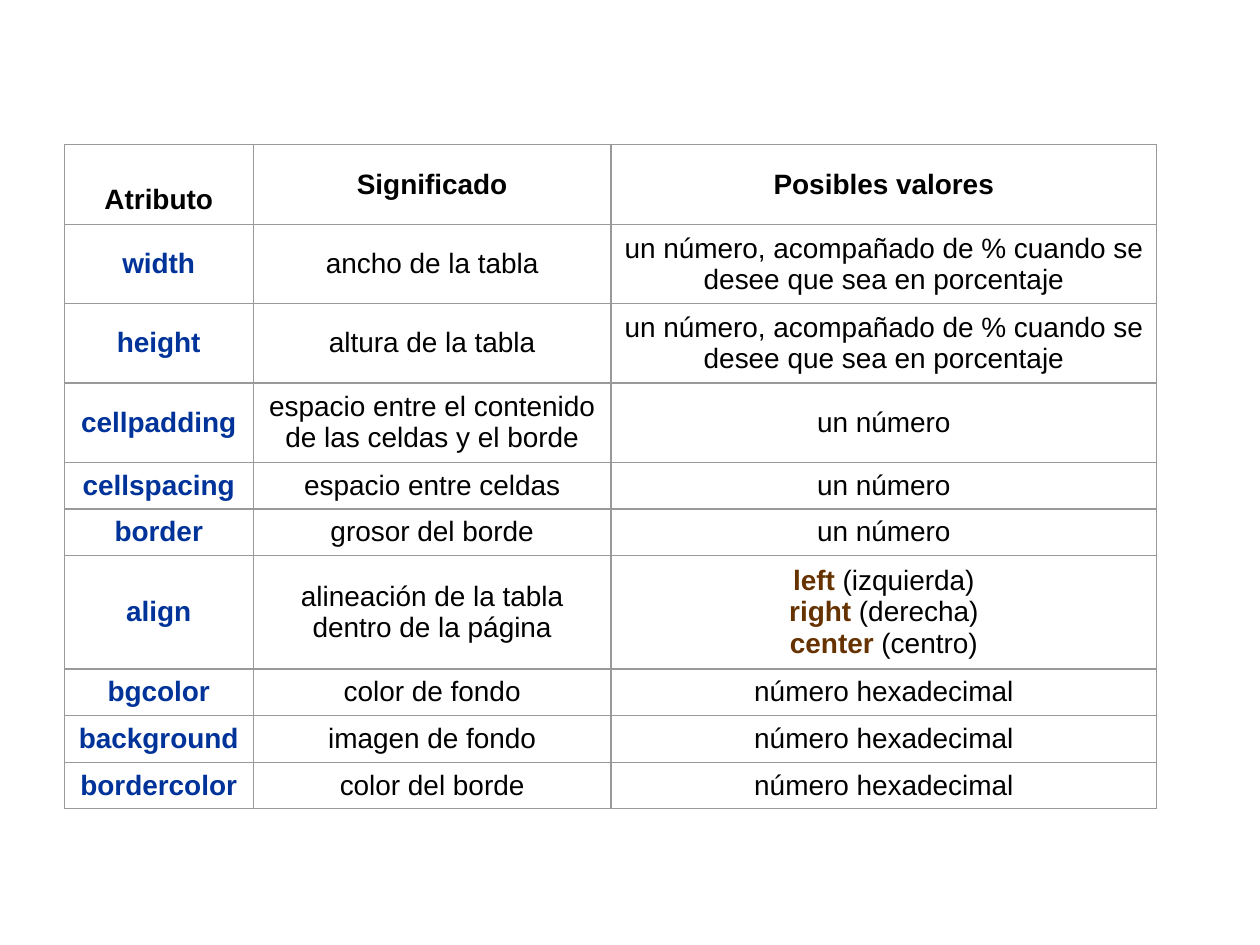
from lxml.etree import SubElement
from pptx import Presentation
from pptx.dml.color import RGBColor
from pptx.enum.text import MSO_ANCHOR as Anchor, PP_ALIGN as Align
from pptx.oxml.ns import qn
from pptx.util import Inches, Pt

BLACK = RGBColor(0x00, 0x00, 0x00)
BLUE = RGBColor(0x00, 0x33, 0x99)
BROWN = RGBColor(0x66, 0x33, 0x00)
GRAY = RGBColor(0x99, 0x99, 0x99)

HEADERS = ["Atributo", "Significado", "Posibles valores"]
SIZE_VALUE = "un número, acompañado de % cuando se desee que sea en porcentaje"
NUMBER = "un número"
HEX = "número hexadecimal"
ALIGN_VALUES = [("left", "izquierda"), ("right", "derecha"), ("center", "centro")]
ATTRIBUTES = [
    ("width", "ancho de la tabla", SIZE_VALUE),
    ("height", "altura de la tabla", SIZE_VALUE),
    ("cellpadding", "espacio entre el contenido de las celdas y el borde", NUMBER),
    ("cellspacing", "espacio entre celdas", NUMBER),
    ("border", "grosor del borde", NUMBER),
    ("align", "alineación de la tabla dentro de la página", ALIGN_VALUES),
    ("bgcolor", "color de fondo", HEX),
    ("background", "imagen de fondo", HEX),
    ("bordercolor", "color del borde", HEX),
]
COL_WIDTHS = [1.5, 2.84, 4.33]
ONE_LINE, TWO_LINES, THREE_LINES = 0.37, 0.63, 0.9
ROW_HEIGHTS = [TWO_LINES] * 4 + [ONE_LINE] * 2 + [THREE_LINES] + [ONE_LINE] * 3


class SlideBuilder:
    font = "Arial"
    size = Pt(16)
    border_width = Pt(0.75)

    def __init__(self, slide):
        self.s = slide

    def table(self, left, top, widths, heights):
        frame = self.s.shapes.add_table(
            len(heights), len(widths), Inches(left), Inches(top),
            Inches(sum(widths)), Inches(sum(heights)))
        table = frame.table
        table.first_row = table.horz_banding = False
        for column, width in zip(table.columns, widths):
            column.width = Inches(width)
        for row, height in zip(table.rows, heights):
            row.height = Inches(height)
        for cell in table.iter_cells():
            self.style_cell(cell)
        return table

    def style_cell(self, cell):
        cell.vertical_anchor = Anchor.MIDDLE
        cell.margin_left = cell.margin_right = Inches(0.1)
        cell.margin_top = cell.margin_bottom = Inches(0.05)
        tc_pr = cell._tc.get_or_add_tcPr()
        for side in ("lnL", "lnR", "lnT", "lnB"):
            ln = SubElement(tc_pr, qn(f"a:{side}"), w=str(self.border_width))
            fill = SubElement(ln, qn("a:solidFill"))
            SubElement(fill, qn("a:srgbClr"), val=str(GRAY))
        cell.fill.background()
        cell.text_frame.paragraphs[0].alignment = Align.CENTER

    def run(self, cell, text, color=BLACK, bold=False):
        r = cell.text_frame.paragraphs[0].add_run()
        r.text = text
        r.font.name = self.font
        r.font.size = self.size
        r.font.bold = bold
        r.font.color.rgb = color

    def options(self, cell, pairs):
        for i, (keyword, meaning) in enumerate(pairs):
            if i:
                cell.text_frame.paragraphs[0].add_line_break()
            self.run(cell, keyword, BROWN, True)
            self.run(cell, f" ({meaning})")


def main():
    prs = Presentation()
    prs.slide_width, prs.slide_height = Inches(10), Inches(7.5)
    builder = SlideBuilder(prs.slides.add_slide(prs.slide_layouts[6]))
    table = builder.table(0.51, 1.15, COL_WIDTHS, ROW_HEIGHTS)

    for col, header in enumerate(HEADERS):
        builder.run(table.cell(0, col), header, bold=True)
    table.cell(0, 0).margin_top = Inches(0.3)

    for row, (attribute, meaning, values) in enumerate(ATTRIBUTES, 1):
        builder.run(table.cell(row, 0), attribute, BLUE, True)
        builder.run(table.cell(row, 1), meaning)
        if values is ALIGN_VALUES:
            builder.options(table.cell(row, 2), values)
        else:
            builder.run(table.cell(row, 2), values)

    prs.save("out.pptx")


if __name__ == "__main__":
    main()
